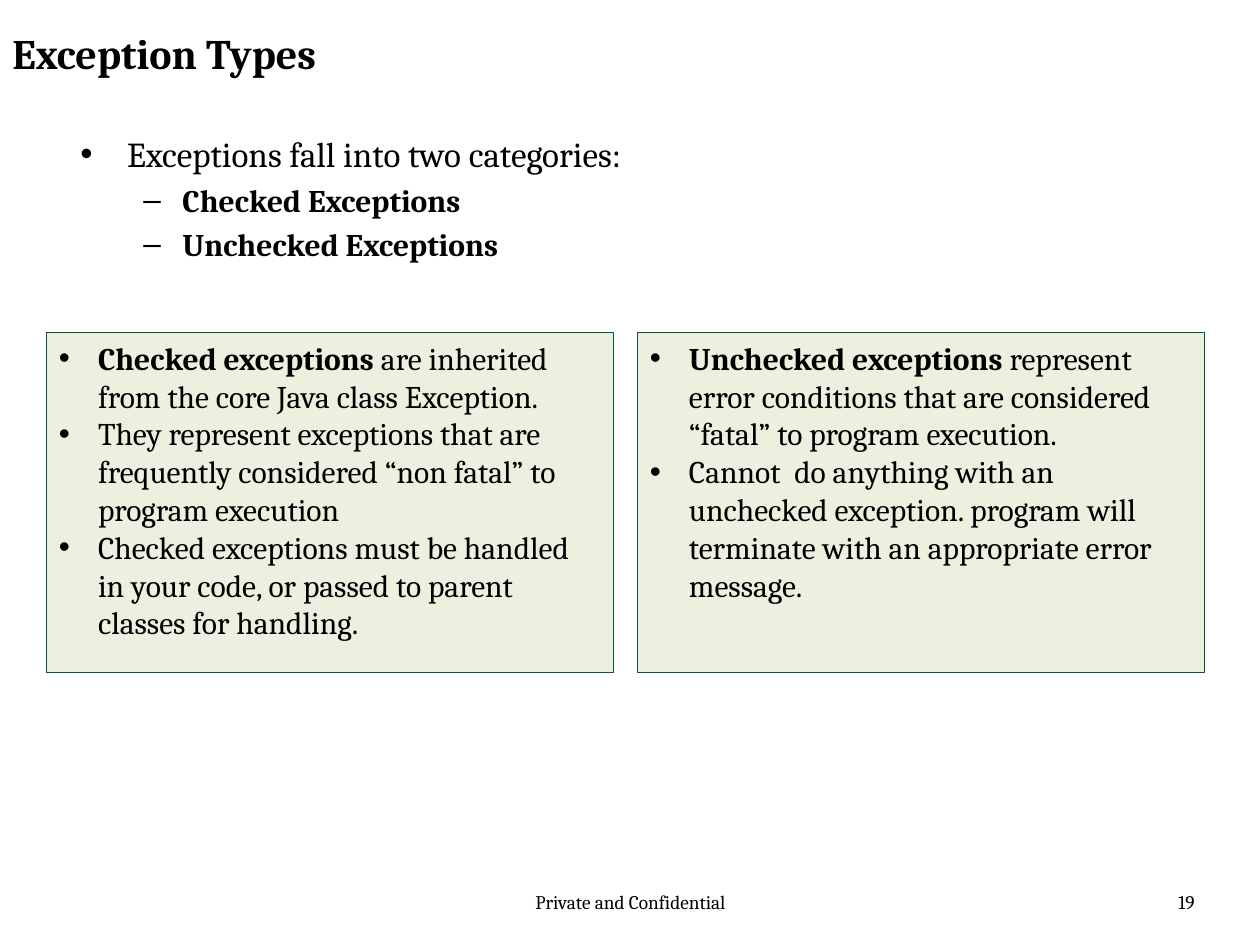
from lxml.etree import SubElement
from pptx import Presentation
from pptx.dml.color import RGBColor
from pptx.enum.shapes import MSO_SHAPE as Shape
from pptx.enum.text import MSO_ANCHOR as Anchor, PP_ALIGN as Align
from pptx.oxml.ns import qn
from pptx.util import Inches, Pt

FONT = "Cambria"
COLORS = {"text": "000000", "panel": "EBF1DE", "border": "035642"}

CHECKED = [
    ("Checked exceptions ", "are inherited from the core Java class Exception."),
    ("", "They represent exceptions that are frequently considered “non fatal” to program execution"),
    ("", "Checked exceptions must be handled in your code, or passed to parent classes for handling."),
]
UNCHECKED = [
    ("Unchecked exceptions ", "represent error conditions that are considered “fatal” to program execution."),
    ("", "Cannot  do anything with an unchecked exception. program will terminate with an appropriate error message."),
]


def color(name):
    return RGBColor.from_string(COLORS[name])


def set_bullet(para, char, indent, hanging):
    props = para._p.get_or_add_pPr()
    props.set("marL", str(Inches(indent)))
    props.set("indent", str(-Inches(hanging)))
    SubElement(props, qn("a:buFont"), typeface="Arial")
    SubElement(props, qn("a:buChar"), char=char)


def write(para, size, *spans, align=Align.LEFT):
    """Fill a paragraph with (text, bold) spans, skipping empty ones."""
    para.alignment = align
    para.font.name = FONT
    para.font.size = Pt(size)
    para.font.color.rgb = color("text")
    for text, bold in spans:
        if text:
            span = para.add_run()
            span.text = text
            span.font.bold = bold


def paragraphs(frame, count):
    return [frame.paragraphs[0]] + [frame.add_paragraph() for _ in range(count - 1)]


def add_text_box(page, left, top, width, height):
    box = page.shapes.add_textbox(Inches(left), Inches(top), Inches(width), Inches(height))
    box.text_frame.word_wrap = True
    return box.text_frame


def add_line(page, left, top, width, height, text, size, bold=False, align=Align.LEFT):
    frame = add_text_box(page, left, top, width, height)
    write(frame.paragraphs[0], size, (text, bold), align=align)


def add_categories(page, left, top, width, height, lead, names):
    frame = add_text_box(page, left, top, width, height)
    first, *rest = paragraphs(frame, 1 + len(names))
    write(first, 20, (lead, False))
    set_bullet(first, "•", 0.37, 0.37)
    for para, name in zip(rest, names):
        para.level = 1
        para.space_before = Pt(3.6)
        write(para, 18, (name, True))
        set_bullet(para, "–", 0.81, 0.31)


def add_panel(page, left, top, width, height, points):
    panel = page.shapes.add_shape(
        Shape.RECTANGLE, Inches(left), Inches(top), Inches(width), Inches(height))
    panel.shadow.inherit = False
    panel.fill.solid()
    panel.fill.fore_color.rgb = color("panel")
    panel.line.color.rgb = color("border")
    panel.line.width = Pt(0.75)
    frame = panel.text_frame
    frame.word_wrap = True
    frame.vertical_anchor = Anchor.TOP
    for para, (term, text) in zip(paragraphs(frame, len(points)), points):
        write(para, 18, (term, True), (text, False))
        set_bullet(para, "•", 0.31, 0.31)


def main():
    deck = Presentation()
    deck.slide_width, deck.slide_height = Inches(10), Inches(7.5)
    page = deck.slides.add_slide(deck.slide_layouts[6])

    add_line(page, 3.42, 7.02, 3.17, 0.4, "Private and Confidential", 11, align=Align.CENTER)
    add_line(page, 7.25, 7.02, 2.33, 0.4, "19", 11, align=Align.RIGHT)
    add_categories(page, 0.54, 1, 8.63, 1.21, "Exceptions fall into two categories:",
                   ["Checked Exceptions", "Unchecked Exceptions"])
    add_line(page, 0, 0.17, 7.58, 0.62, "Exception Types", 24, bold=True)

    width, gap = 4.5, 0.19
    for column, points in enumerate([CHECKED, UNCHECKED]):
        add_panel(page, 0.37 + column * (width + gap), 2.64, width, 2.7, points)

    deck.save("out.pptx")


if __name__ == "__main__":
    main()
